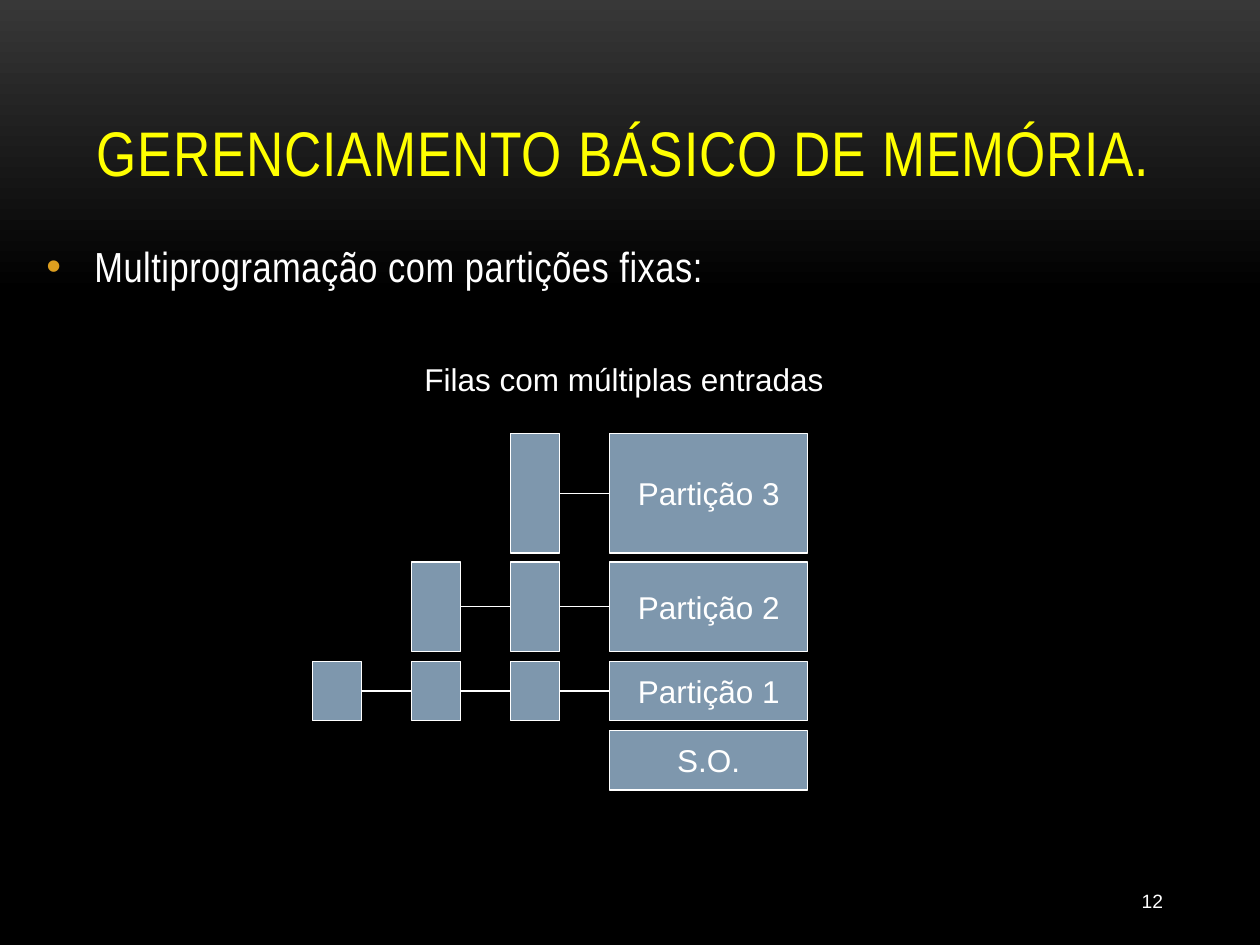
from pptx import Presentation
from pptx import util as u
from pptx.dml.color import RGBColor
from pptx.enum import shapes, text
from pptx.oxml.ns import qn
from lxml import etree

HEAD = "GERENCIAMENTO BÁSICO DE MEMÓRIA."
POINT = "Multiprogramação com partições fixas:"
LABEL = "Filas com múltiplas entradas"
PAGE = "12"
ROWS = [
    ("Partição 3", 3.44, 0.95, 1),
    ("Partição 2", 4.46, 0.71, 2),
    ("Partição 1", 5.25, 0.47, 3),
    ("S.O.", 5.8, 0.47, 0),
]
THEME = {
    "top": "383838", "back": "000000", "head": "FFFF00", "ink": "FFFFFF",
    "box": "7E97AD", "dot": "DC9E1F", "sans": "Arial", "slim": "Arial Narrow",
    "big": 36, "mid": 24, "base": 18, "small": 11, "line": 0.75,
}
LEFT, WIDE = 4.84, 1.57
SLOT, STEP = 0.39, 0.787


def tint(name):
    return RGBColor.from_string(THEME[name])


def write(frame, words, size="base", face="sans", color="ink", align="LEFT",
          anchor="TOP", wrap=True, gap=0, bullet=False):
    frame.word_wrap = wrap
    frame.vertical_anchor = getattr(text.MSO_ANCHOR, anchor)
    para = frame.paragraphs[0]
    para.alignment = getattr(text.PP_ALIGN, align)
    if bullet:
        props = para._p.get_or_add_pPr()
        props.set("marL", str(u.Inches(0.38)))
        props.set("indent", str(u.Inches(-0.38)))
        shade = etree.SubElement(props, qn("a:buClr"))
        etree.SubElement(shade, qn("a:srgbClr"), val=THEME["dot"])
        etree.SubElement(props, qn("a:buFont"), typeface=THEME["sans"])
        etree.SubElement(props, qn("a:buChar"), char="•")
        para.space_after = u.Pt(6)
    run = para.add_run()
    run.text = words
    run.font.size = u.Pt(THEME[size])
    run.font.name = THEME[face]
    run.font.color.rgb = tint(color)
    if gap:
        run._r.get_or_add_rPr().set("spc", str(gap))


def note(slide, words, place, **style):
    box = slide.shapes.add_textbox(*map(u.Inches, place))
    write(box.text_frame, words, **style)


def block(slide, left, top, wide, high):
    box = slide.shapes.add_shape(
        shapes.MSO_SHAPE.RECTANGLE, *map(u.Inches, (left, top, wide, high)))
    box.shadow.inherit = False
    box.fill.solid()
    box.fill.fore_color.rgb = tint("box")
    box.line.color.rgb = tint("ink")
    box.line.width = u.Pt(THEME["line"])
    return box


def link(slide, start, end, y):
    line = slide.shapes.add_connector(
        shapes.MSO_CONNECTOR.STRAIGHT, *map(u.Inches, (start, y, end, y)))
    line.line.color.rgb = tint("ink")
    line.line.width = u.Pt(THEME["line"])
    etree.SubElement(line._element.spPr, qn("a:effectLst"))


def paint(slide):
    fill = slide.background.fill
    fill.gradient()
    fill.gradient_angle = 270
    for stop, (spot, name) in zip(fill.gradient_stops, [(0, "top"), (0.31, "back")]):
        stop.position = spot
        stop.color.rgb = tint(name)


def main():
    deck = Presentation()
    deck.slide_width, deck.slide_height = u.Inches(10), u.Inches(7.5)
    slide = deck.slides.add_slide(deck.slide_layouts[6])
    paint(slide)
    note(slide, HEAD, (0.67, 0.3, 8.67, 1.25), size="big", face="slim",
         color="head", anchor="BOTTOM", gap=50)
    note(slide, POINT, (0.27, 1.86, 9.45, 0.87), size="mid", face="slim",
         gap=30, bullet=True)
    note(slide, LABEL, (3.27, 2.81, 3.62, 0.4))
    for name, top, high, count in ROWS:
        part = block(slide, LEFT, top, WIDE, high)
        write(part.text_frame, name, align="CENTER", anchor="MIDDLE", wrap=False)
        for i in range(count):
            x = LEFT - (i + 1) * STEP
            block(slide, x, top, SLOT, high)
            link(slide, x + SLOT, x + STEP, top + high / 2)
    note(slide, PAGE, (8.25, 6.95, 1.08, 0.4), size="small", align="RIGHT",
         anchor="MIDDLE")
    deck.save("out.pptx")


if __name__ == "__main__":
    main()
